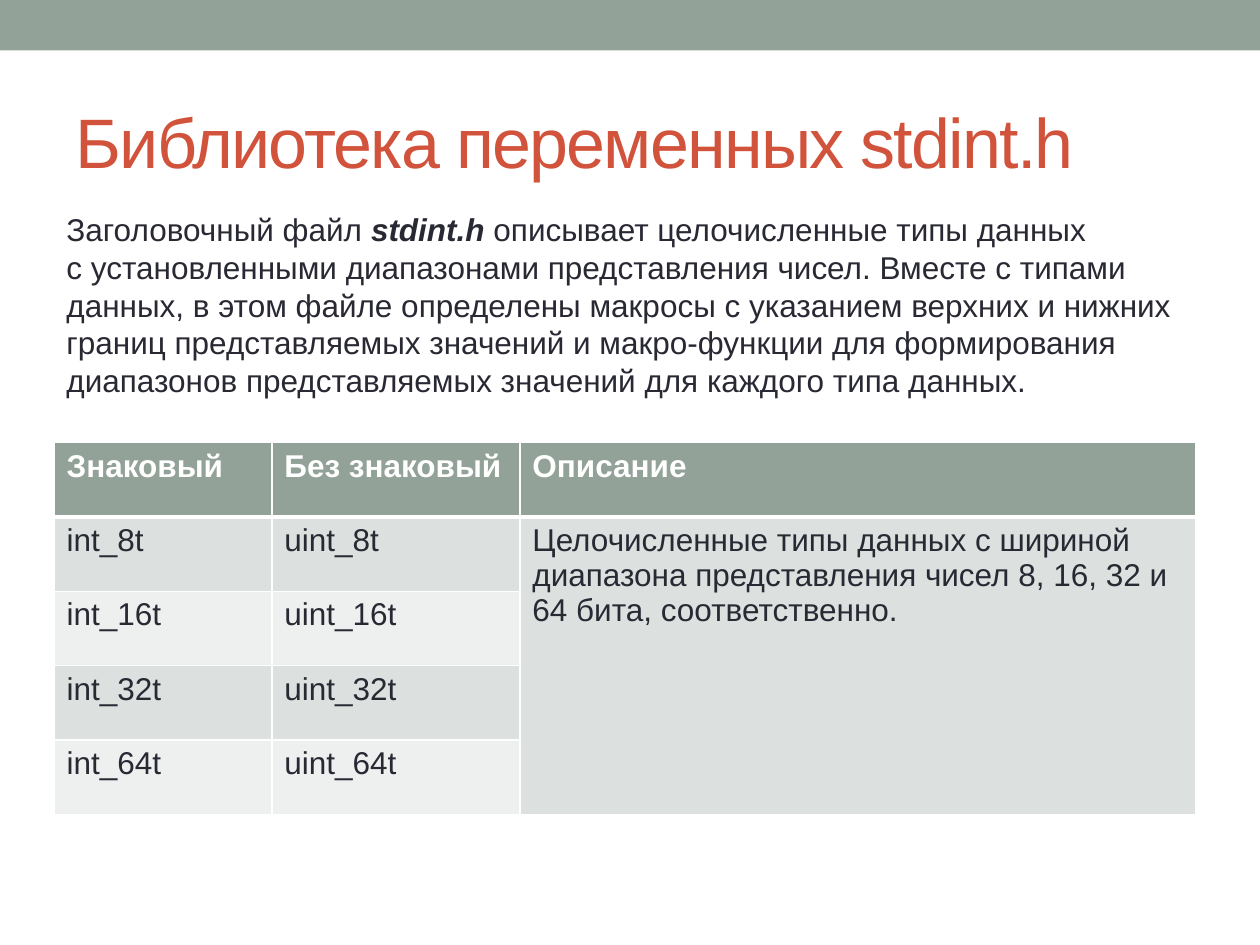
from lxml import etree
from pptx import Presentation
from pptx.dml.color import RGBColor
from pptx.enum.shapes import MSO_SHAPE as Preset
from pptx.enum.text import MSO_ANCHOR as Anchor, MSO_AUTO_SIZE as AutoSize, PP_ALIGN as Align
from pptx.oxml.ns import qn
from pptx.util import Cm, Pt

COLORS = {
    "sage": "93A299",
    "red": "D2533C",
    "ink": "292934",
    "white": "FFFFFF",
    "dark band": "DCE0DE",
    "light band": "EEF0EF",
}
FONT = "Arial"

INTRO = [
    [("Заголовочный файл\u00a0", False), ("stdint.h", True),
     ("\u00a0описывает\u00a0целочисленные типы данных", False)],
    [("с установленными диапазонами представления чисел. Вместе с типами", False)],
    [("данных, в этом файле определены макросы с указанием верхних и нижних", False)],
    [("границ представляемых значений и макро-функции для формирования", False)],
    [("диапазонов представляемых значений для каждого типа данных.", False)],
]
HEADER = ["Знаковый", "Без знаковый", "Описание"]
DESCRIPTION = ("Целочисленные типы данных с шириной диапазона представления "
               "чисел 8, 16, 32 и 64 бита, соответственно.")
BIT_WIDTHS = [8, 16, 32, 64]


def color(name):
    return RGBColor.from_string(COLORS[name])


def add_text(paragraph, text, size=18, ink="ink", bold=False, italic=False,
             line_spacing=None, tracking=None):
    """Append one formatted run; tracking is in points."""
    paragraph.alignment = Align.LEFT
    if line_spacing:
        paragraph.line_spacing = Pt(line_spacing)
    run = paragraph.add_run()
    run.text = text
    run.font.name = FONT
    run.font.size = Pt(size)
    run.font.bold = bold
    run.font.italic = italic
    run.font.color.rgb = color(ink)
    if tracking:
        run.font._element.set("spc", str(tracking * 100))


def set_borders(cell, **widths):
    """Draw white borders; widths in points are keyed L, R, T, B."""
    properties = cell._tc.get_or_add_tcPr()
    for position, (side, width) in enumerate(widths.items()):
        line = etree.Element(qn(f"a:ln{side}"), w=str(Pt(width)))
        fill = etree.SubElement(line, qn("a:solidFill"))
        etree.SubElement(fill, qn("a:srgbClr"), val=COLORS["white"])
        properties.insert(position, line)


class SlideBuilder:
    def __init__(self, slide):
        self.slide = slide

    def band(self, left, top, width, height):
        shape = self.slide.shapes.add_shape(Preset.RECTANGLE, left, top, width, height)
        shape.shadow.inherit = False
        shape.fill.solid()
        shape.fill.fore_color.rgb = color("sage")
        shape.line.fill.background()

    def title(self, text, left, top, width, height):
        title = self.slide.shapes.title
        title.left, title.top, title.width, title.height = left, top, width, height
        title.text_frame.auto_size = AutoSize.NONE
        title.text_frame.vertical_anchor = Anchor.MIDDLE
        add_text(title.text_frame.paragraphs[0], text, size=40, ink="red", tracking=-1)

    def text_block(self, lines, left, top, width, height):
        frame = self.slide.shapes.add_textbox(left, top, width, height).text_frame
        frame.word_wrap = True
        for index, runs in enumerate(lines):
            paragraph = frame.add_paragraph() if index else frame.paragraphs[0]
            for text, strong in runs:
                add_text(paragraph, text, bold=strong, italic=strong, line_spacing=21.6)

    def table(self, rows, column_widths, left, top, row_height):
        table = self.slide.shapes.add_table(
            len(rows), len(column_widths), left, top,
            sum(column_widths), row_height * len(rows)).table
        for column, width in zip(table.columns, column_widths):
            column.width = width
        for row_index, row in enumerate(rows):
            table.rows[row_index].height = row_height
            for column_index, text in enumerate(row):
                self.cell(table.cell(row_index, column_index), text, row_index)
        return table

    def cell(self, cell, text, row_index):
        is_header = row_index == 0
        band = "sage" if is_header else "dark band" if row_index % 2 else "light band"
        cell.fill.solid()
        cell.fill.fore_color.rgb = color(band)
        set_borders(cell, L=1, R=1, T=3 if row_index == 1 else 1, B=3 if is_header else 1)
        if text:
            add_text(cell.text_frame.paragraphs[0], text, bold=is_header,
                     ink="white" if is_header else "ink", line_spacing=20)


def main():
    presentation = Presentation()
    presentation.slide_width, presentation.slide_height = Cm(25.4), Cm(19.05)
    title_only = presentation.slide_layouts[5]
    builder = SlideBuilder(presentation.slides.add_slide(title_only))

    builder.band(0, 0, presentation.slide_width, Cm(1.02))
    builder.title("Библиотека переменных stdint.h", Cm(1.27), Cm(1.47), Cm(22.86), Cm(2.74))
    builder.text_block(INTRO, Cm(1.09), Cm(4.11), Cm(23.01), Cm(4.11))

    rows = [HEADER] + [[f"int_{bits}t", f"uint_{bits}t", ""] for bits in BIT_WIDTHS]
    rows[1][2] = DESCRIPTION
    table = builder.table(rows, [Cm(4.39), Cm(5), Cm(13.62)], Cm(1.09), Cm(8.92), Cm(1.5))
    table.cell(1, 2).merge(table.cell(len(BIT_WIDTHS), 2))

    presentation.save("out.pptx")


if __name__ == "__main__":
    main()
